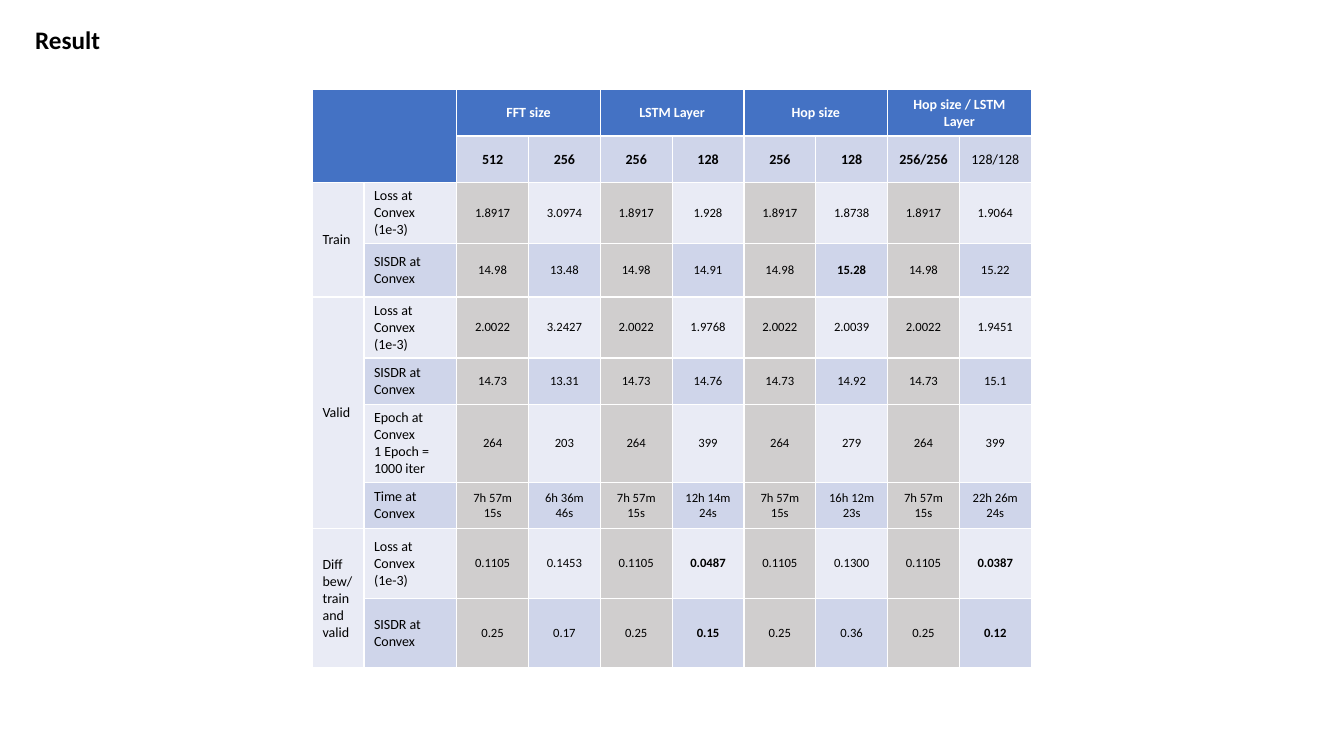
from dataclasses import dataclass
from typing import Optional

from pptx import Presentation
from pptx.dml.color import RGBColor
from pptx.enum.text import MSO_ANCHOR as Anchor, MSO_AUTO_SIZE as AutoSize, PP_ALIGN as Align
from pptx.slide import Slide
from pptx.table import Table, _Cell as Cell
from pptx.util import Inches, Pt

FONT = "Calibri"
BLACK = RGBColor(0x00, 0x00, 0x00)
WHITE = RGBColor(0xFF, 0xFF, 0xFF)
HEADER_BLUE = RGBColor(0x44, 0x72, 0xC4)
BAND_DARK = RGBColor(0xCF, 0xD5, 0xEA)
BAND_LIGHT = RGBColor(0xE9, 0xEB, 0xF5)
BASELINE_GREY = RGBColor(0xD0, 0xCE, 0xCE)

TABLE_WIDTH = 7.13
GROUP_WIDTH = 0.51
LABEL_WIDTH = 0.92
HEADER_ROWS = 2
LABEL_COLUMNS = 2


@dataclass(frozen=True)
class Setting:
    name: str
    baseline: str
    variant: str
    variant_bold: bool = True


@dataclass(frozen=True)
class Measure:
    label: str
    baseline: str
    variants: tuple[str, ...]
    best: tuple[int, ...] = ()
    height: float = 0.46


@dataclass(frozen=True)
class Group:
    name: str
    measures: tuple[Measure, ...]


LOSS = "Loss at Convex\n(1e-3)"
SISDR = "SISDR at Convex"

SETTINGS = (
    Setting("FFT size", "512", "256"),
    Setting("LSTM Layer", "256", "128"),
    Setting("Hop size", "256", "128"),
    Setting("Hop size / LSTM Layer", "256/256", "128/128", variant_bold=False),
)

GROUPS = (
    Group("Train", (
        Measure(LOSS, "1.8917", ("3.0974", "1.928", "1.8738", "1.9064")),
        Measure(SISDR, "14.98", ("13.48", "14.91", "15.28", "15.22"), (2,), 0.53),
    )),
    Group("Valid", (
        Measure(LOSS, "2.0022", ("3.2427", "1.9768", "2.0039", "1.9451")),
        Measure(SISDR, "14.73", ("13.31", "14.76", "14.92", "15.1")),
        Measure("Epoch at Convex\n1 Epoch = 1000 iter", "264", ("203", "399", "279", "399")),
        Measure("Time at Convex", "7h 57m 15s",
                ("6h 36m 46s", "12h 14m 24s", "16h 12m 23s", "22h 26m 24s")),
    )),
    Group("Diff bew/\ntrain and valid", (
        Measure(LOSS, "0.1105", ("0.1453", "0.0487", "0.1300", "0.0387"), (1, 3), 0.69),
        Measure(SISDR, "0.25", ("0.17", "0.15", "0.36", "0.12"), (1, 3), 0.69),
    )),
)


def fill_cell(cell: Cell, fill: RGBColor, text: str = "", size: float = 10,
              bold: bool = False, color: RGBColor = BLACK,
              align: Optional[Align] = Align.CENTER) -> None:
    cell.fill.solid()
    cell.fill.fore_color.rgb = fill
    cell.vertical_anchor = Anchor.MIDDLE
    cell.text = text
    for para in cell.text_frame.paragraphs:
        para.alignment = align
        para.font.name = FONT
        para.font.size = Pt(size)
        para.font.bold = bold
        para.font.color.rgb = color


def add_title(page: Slide, text: str) -> None:
    box = page.shapes.add_textbox(Inches(0.25), Inches(0.19), Inches(0.85), Inches(0.4))
    frame = box.text_frame
    frame.word_wrap = False
    frame.auto_size = AutoSize.SHAPE_TO_FIT_TEXT
    frame.text = text
    font = frame.paragraphs[0].font
    font.name = FONT
    font.size = Pt(18)
    font.bold = True
    font.color.rgb = BLACK


def fill_header(table: Table) -> None:
    for row in range(HEADER_ROWS):
        for column in range(LABEL_COLUMNS):
            fill_cell(table.cell(row, column), HEADER_BLUE)
    table.cell(0, 0).merge(table.cell(HEADER_ROWS - 1, LABEL_COLUMNS - 1))
    for index, setting in enumerate(SETTINGS):
        left = LABEL_COLUMNS + 2 * index
        fill_cell(table.cell(0, left), HEADER_BLUE, setting.name, bold=True, color=WHITE)
        fill_cell(table.cell(0, left + 1), HEADER_BLUE)
        table.cell(0, left).merge(table.cell(0, left + 1))
        fill_cell(table.cell(1, left), BAND_DARK, setting.baseline, bold=True)
        fill_cell(table.cell(1, left + 1), BAND_DARK, setting.variant, bold=setting.variant_bold)


def fill_measure(table: Table, row: int, measure: Measure) -> None:
    band = BAND_DARK if row % 2 else BAND_LIGHT
    table.rows[row].height = Inches(measure.height)
    fill_cell(table.cell(row, 1), band, measure.label, align=None)
    for index, variant in enumerate(measure.variants):
        left = LABEL_COLUMNS + 2 * index
        fill_cell(table.cell(row, left), BASELINE_GREY, measure.baseline, size=9)
        fill_cell(table.cell(row, left + 1), band, variant, size=9, bold=index in measure.best)


def add_results(page: Slide) -> None:
    measures = [measure for group in GROUPS for measure in group.measures]
    row_count = HEADER_ROWS + len(measures)
    value_columns = 2 * len(SETTINGS)
    height = HEADER_ROWS * 0.46 + sum(measure.height for measure in measures)
    table = page.shapes.add_table(
        row_count, LABEL_COLUMNS + value_columns,
        Inches(3.1), Inches(0.89), Inches(TABLE_WIDTH), Inches(height)).table

    value_width = (TABLE_WIDTH - GROUP_WIDTH - LABEL_WIDTH) / value_columns
    widths = [GROUP_WIDTH, LABEL_WIDTH] + [value_width] * value_columns
    for column, width in zip(table.columns, widths):
        column.width = Inches(width)
    for row in range(HEADER_ROWS):
        table.rows[row].height = Inches(0.46)

    fill_header(table)
    top = HEADER_ROWS
    for group in GROUPS:
        bottom = top + len(group.measures) - 1
        for row, measure in enumerate(group.measures, start=top):
            fill_cell(table.cell(row, 0), BAND_LIGHT, align=None)
            fill_measure(table, row, measure)
        fill_cell(table.cell(top, 0), BAND_LIGHT, group.name, align=None)
        table.cell(top, 0).merge(table.cell(bottom, 0))
        top = bottom + 1


def main() -> None:
    deck = Presentation()
    deck.slide_width = Inches(13.33)
    deck.slide_height = Inches(7.5)
    page = deck.slides.add_slide(deck.slide_layouts[6])
    add_results(page)
    add_title(page, "Result")
    deck.save("out.pptx")


if __name__ == "__main__":
    main()
